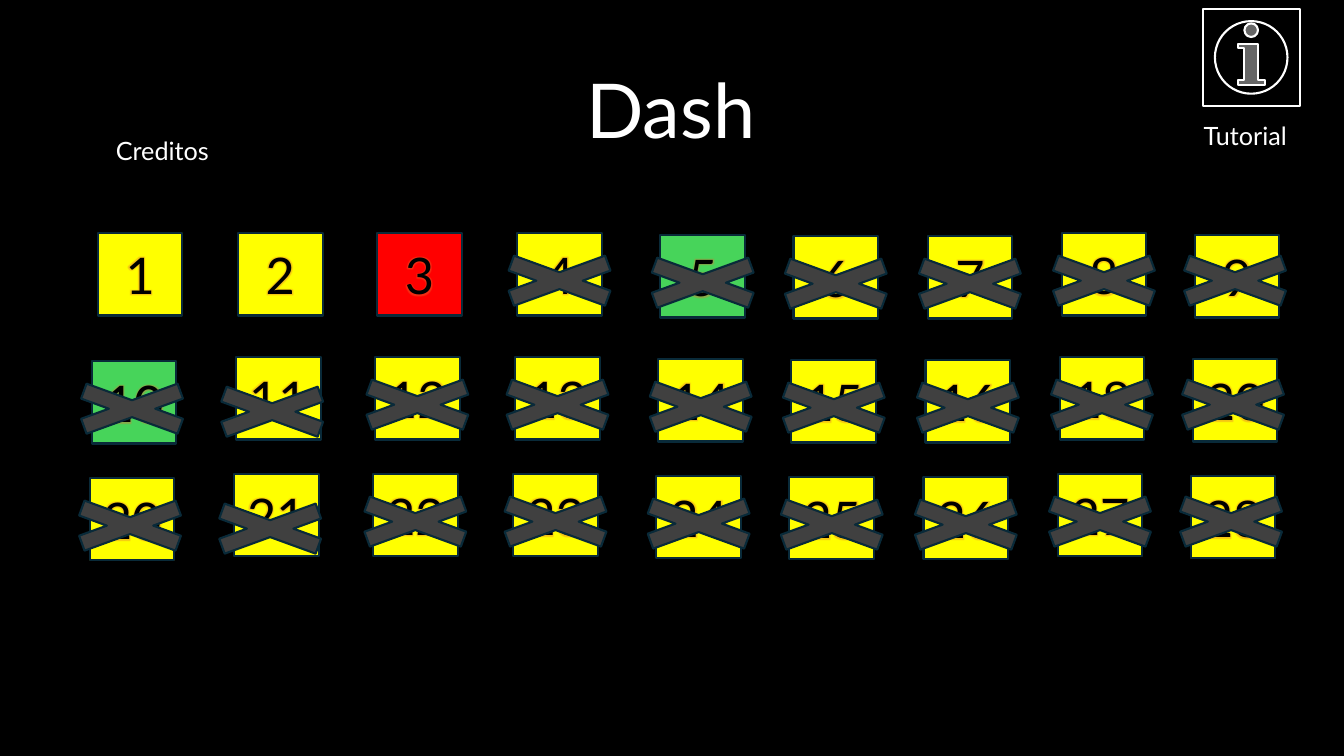
from lxml import etree
from pptx import Presentation
from pptx.dml.color import RGBColor
from pptx.enum.shapes import MSO_SHAPE
from pptx.enum.text import MSO_ANCHOR, PP_ALIGN
from pptx.oxml.ns import qn
from pptx.util import Inches, Pt

RECTANGLE = MSO_SHAPE.RECTANGLE
CROSS = MSO_SHAPE.MATH_MULTIPLY
INFORMATION = MSO_SHAPE.ACTION_BUTTON_INFORMATION
CENTER, LEFT = PP_ALIGN.CENTER, PP_ALIGN.LEFT
MIDDLE, TOP, BOTTOM = MSO_ANCHOR.MIDDLE, MSO_ANCHOR.TOP, MSO_ANCHOR.BOTTOM

BLACK = RGBColor(0x00, 0x00, 0x00)
WHITE = RGBColor(0xFF, 0xFF, 0xFF)
YELLOW = RGBColor(0xFF, 0xFF, 0x00)
RED = RGBColor(0xFF, 0x00, 0x00)
GREEN = RGBColor(0x47, 0xD4, 0x5A)
GRAY = RGBColor(0x40, 0x40, 0x40)
NAVY = RGBColor(0x09, 0x2A, 0x39)
ORANGE = RGBColor(0xE9, 0x71, 0x32)

FONT = "Lato"
SLIDE_W, SLIDE_H = 13.33, 7.5
TILE_W, TILE_H = 0.84, 0.82
CROSS_W, CROSS_H = 1.84, 0.67

# The level grid: column lefts, row tops, and the small drift of each.
COLUMNS = [0.97, 2.36, 3.74, 5.13, 6.55, 7.87, 9.2, 10.53, 11.85]
COLUMN_DROPS = [0, 0, 0, 0, 0.02, 0.03, 0.03, 0, 0.02]
ROWS = [2.31, 3.54, 4.7]
ROW_SHIFTS = [0, -0.02, -0.04]
FIRST_COLUMN_SHIFT, FIRST_COLUMN_DROP = -0.04, 0.04

# Offset of a cross from its tile, by column where it is not the usual one.
CROSS_OFFSET = (-0.5, 0.14)
CROSS_OFFSETS = {0: (-0.52, 0.14), 1: (-0.56, 0.21), 8: (-0.52, 0.12)}

LEVELS = [
    ["1", "2", "3", "4", "5", "6", "7", "8", "9"],
    ["10", "11", "12", "13", "14", "15", "16", "18", "20"],
    ["20", "21", "22", "23", "24", "25", "26", "27", "28"],
]
UNLOCKED = {"1", "2", "3"}
LEVEL_COLORS = {"3": RED, "5": GREEN, "10": GREEN}


def add_figure(slide, preset, left, top, width, height, fill, line):
    figure = slide.shapes.add_shape(
        preset, Inches(left), Inches(top), Inches(width), Inches(height))
    figure.shadow.inherit = False
    figure.fill.solid()
    figure.fill.fore_color.rgb = fill
    figure.line.color.rgb = line
    figure.line.width = Pt(1.5)
    return figure


def write(frame, text, size, color, align, anchor):
    frame.word_wrap = True
    frame.vertical_anchor = anchor
    paragraph = frame.paragraphs[0]
    paragraph.alignment = align
    paragraph.add_run().text = text
    paragraph.font.name = FONT
    paragraph.font.size = Pt(size)
    paragraph.font.color.rgb = color
    return paragraph


def add_label(slide, text, left, top, width, height, size, align=LEFT, anchor=TOP):
    label = slide.shapes.add_textbox(
        Inches(left), Inches(top), Inches(width), Inches(height))
    return write(label.text_frame, text, size, WHITE, align, anchor)


def add_glow(run):
    effects = etree.SubElement(run._r.get_or_add_rPr(), qn("a:effectLst"))
    glow = etree.SubElement(effects, qn("a:glow"), rad=str(Pt(3)))
    tint = etree.SubElement(glow, qn("a:srgbClr"), val=str(ORANGE))
    etree.SubElement(tint, qn("a:alpha"), val="40000")


def tile_corner(row, column):
    left = COLUMNS[column] + ROW_SHIFTS[row]
    top = ROWS[row] + COLUMN_DROPS[column]
    if row > 0 and column == 0:
        left += FIRST_COLUMN_SHIFT
        top += FIRST_COLUMN_DROP
    return left, top


def add_level(slide, row, column, number):
    """Add a numbered tile, crossed out while the level is locked."""
    left, top = tile_corner(row, column)
    tile = add_figure(slide, RECTANGLE, left, top, TILE_W, TILE_H,
                      LEVEL_COLORS.get(number, YELLOW), NAVY)
    caption = write(tile.text_frame, number, 36, BLACK, CENTER, MIDDLE)
    add_glow(caption.runs[0])
    if number not in UNLOCKED:
        across, down = CROSS_OFFSETS.get(column, CROSS_OFFSET)
        add_figure(slide, CROSS, left + across, top + down,
                   CROSS_W, CROSS_H, GRAY, NAVY)


def main():
    presentation = Presentation()
    presentation.slide_width = Inches(SLIDE_W)
    presentation.slide_height = Inches(SLIDE_H)
    slide = presentation.slides.add_slide(presentation.slide_layouts[6])

    add_figure(slide, RECTANGLE, 0, 0, SLIDE_W, SLIDE_H, BLACK, BLACK)
    title = add_label(slide, "Dash", 5.59, 0.59, 2.13, 1, 54, CENTER, BOTTOM)
    title.line_spacing = 0.9
    add_figure(slide, INFORMATION, 11.93, 0.09, 0.96, 0.96, BLACK, WHITE)
    add_label(slide, "Tutorial", 11.84, 1.14, 1.22, 0.4, 18)
    add_label(slide, "Creditos", 1.05, 1.29, 1.22, 0.4, 18)

    for row, numbers in enumerate(LEVELS):
        for column, number in enumerate(numbers):
            add_level(slide, row, column, number)

    presentation.save("out.pptx")


if __name__ == "__main__":
    main()
